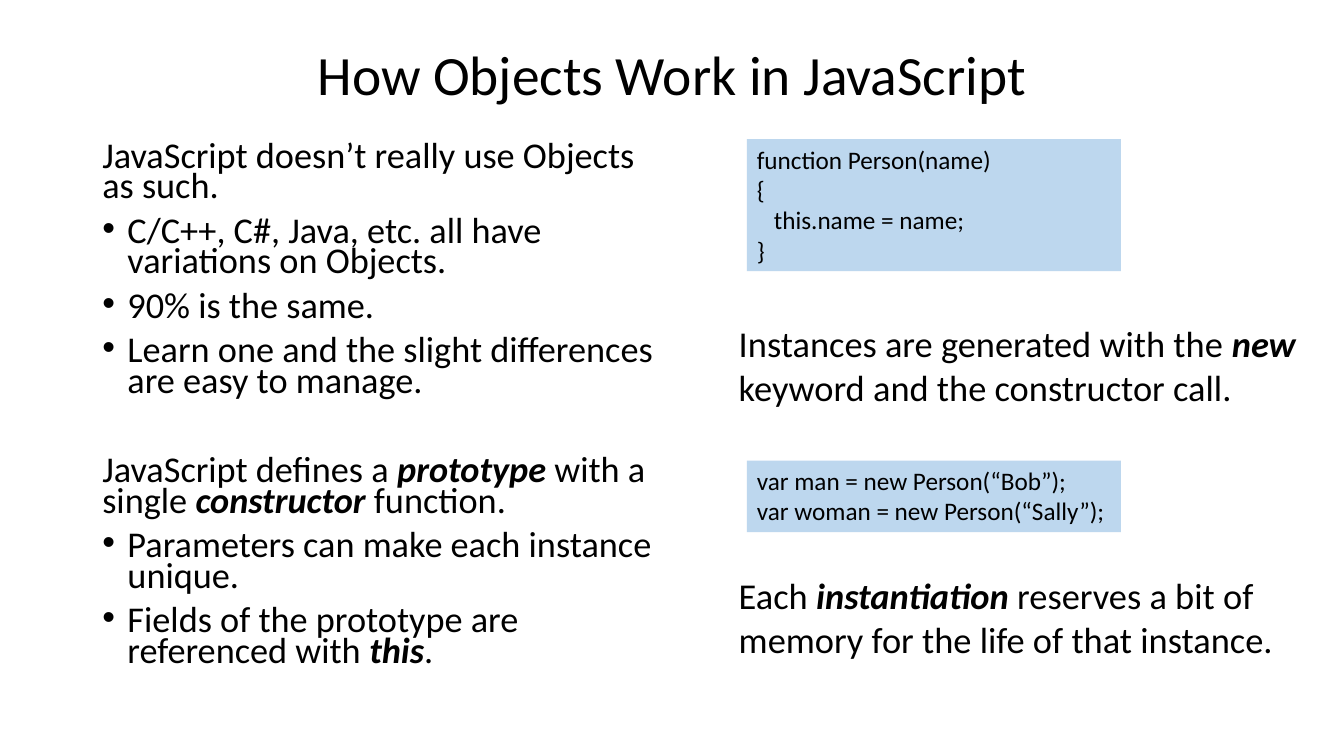
import pptx
import pptx.dml.color
import pptx.enum.shapes
import pptx.enum.text
import pptx.oxml.ns
import pptx.util
import lxml.etree

Pt = pptx.util.Pt
qn = pptx.oxml.ns.qn
BLACK = pptx.dml.color.RGBColor(0x00, 0x00, 0x00)
CODE_BLUE = pptx.dml.color.RGBColor(0xBD, 0xD7, 0xEE)
FONT = "Calibri"

TITLE = "How Objects Work in JavaScript"
TOPICS = [
    ("JavaScript doesn’t really use Objects as such.", [
        "C/C++, C#, Java, etc. all have variations on Objects.",
        "90% is the same.",
        "Learn one and the slight differences are easy to manage.",
    ]),
    ("JavaScript defines a *prototype* with a single *constructor* function.", [
        "Parameters can make each instance unique.",
        "Fields of the prototype are referenced with *this*.",
    ]),
]
CODE_BLOCKS = [
    (99.4, 94.3, [("function Person(name)", 0), ("{", 0), ("this.name = name;", 12.2), ("}", 0)]),
    (329, 51.1, [("var man = new Person(“Bob”);", 0), ("var woman = new Person(“Sally”);", 0)]),
]
REMARKS = [
    (226.1, "Instances are generated with the *new* keyword and the constructor call."),
    (406.1, "Each *instantiation* reserves a bit of memory for the life of that instance."),
]

LEFT, TITLE_WIDTH, TOPICS_WIDTH = 66, 828, 417.6
CODE_LEFT, CODE_WIDTH = 533.5, 267.1
REMARK_LEFT, REMARK_WIDTH, REMARK_HEIGHT = 520.6, 412.6, 70.6
BULLET_INDENT = 18
PARAGRAPH_GAP, TOPIC_GAP = 10, 42.1

presentation = pptx.Presentation()
presentation.slide_width, presentation.slide_height = Pt(960), Pt(540)
slide = presentation.slides.add_slide(presentation.slide_layouts[6])


def add_text_box(left, top, width, height):
    shape = slide.shapes.add_textbox(Pt(left), Pt(top), Pt(width), Pt(height))
    shape.text_frame.word_wrap = True
    return shape.text_frame


def next_paragraph(text_frame, is_first):
    return text_frame.paragraphs[0] if is_first else text_frame.add_paragraph()


def write(paragraph, text, size):
    for index, part in enumerate(text.split("*")):
        run = paragraph.add_run()
        run.text = part
        run.font.name, run.font.size = FONT, Pt(size)
        run.font.color.rgb = BLACK
        if index % 2:
            run.font.bold = run.font.italic = True


def indent(paragraph, margin, first_line=0):
    properties = paragraph._p.get_or_add_pPr()
    properties.set("marL", str(Pt(margin)))
    properties.set("indent", str(Pt(first_line)))
    return properties


def add_bullet(paragraph):
    properties = indent(paragraph, BULLET_INDENT, -BULLET_INDENT)
    lxml.etree.SubElement(properties, qn("a:buFont")).set("typeface", "Arial")
    lxml.etree.SubElement(properties, qn("a:buChar")).set("char", "•")


title_frame = add_text_box(LEFT, 28.8, TITLE_WIDTH, 52.6)
title_frame.vertical_anchor = pptx.enum.text.MSO_ANCHOR.MIDDLE
title_paragraph = title_frame.paragraphs[0]
title_paragraph.alignment = pptx.enum.text.PP_ALIGN.CENTER
title_paragraph.line_spacing = 0.9
write(title_paragraph, TITLE, 39.6)

topics_frame = add_text_box(LEFT, 99.4, TOPICS_WIDTH, 386.6)
for topic_index, (statement, bullets) in enumerate(TOPICS):
    for line_index, text in enumerate([statement] + bullets):
        paragraph = next_paragraph(topics_frame, topic_index + line_index == 0)
        paragraph.line_spacing = 0.7
        starts_new_topic = topic_index > 0 and line_index == 0
        paragraph.space_before = Pt(TOPIC_GAP if starts_new_topic else PARAGRAPH_GAP)
        if line_index:
            add_bullet(paragraph)
        write(paragraph, text, 25.9)

for top, height, lines in CODE_BLOCKS:
    code_box = slide.shapes.add_shape(
        pptx.enum.shapes.MSO_SHAPE.RECTANGLE,
        Pt(CODE_LEFT), Pt(top), Pt(CODE_WIDTH), Pt(height))
    code_box.shadow.inherit = False
    code_box.fill.solid()
    code_box.fill.fore_color.rgb = CODE_BLUE
    code_box.line.fill.background()
    code_frame = code_box.text_frame
    code_frame.word_wrap = True
    code_frame.vertical_anchor = pptx.enum.text.MSO_ANCHOR.TOP
    for line_index, (text, margin) in enumerate(lines):
        paragraph = next_paragraph(code_frame, line_index == 0)
        paragraph.alignment = pptx.enum.text.PP_ALIGN.LEFT
        indent(paragraph, margin)
        write(paragraph, text, 18)

for top, text in REMARKS:
    remark_frame = add_text_box(REMARK_LEFT, top, REMARK_WIDTH, REMARK_HEIGHT)
    write(remark_frame.paragraphs[0], text, 26)

presentation.save("out.pptx")
